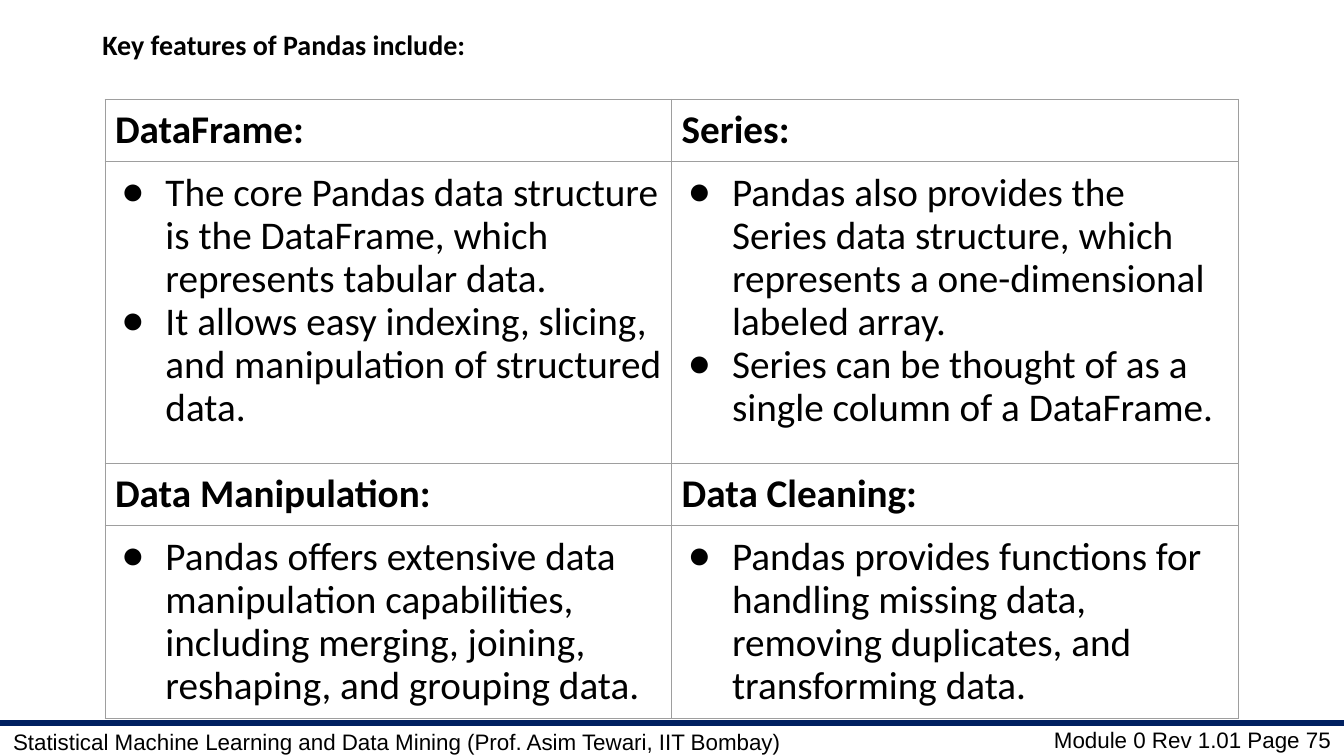
from dataclasses import dataclass

from lxml import etree
from pptx import Presentation
from pptx import util as u
from pptx.dml.color import RGBColor
from pptx.enum import shapes, text
from pptx.oxml import ns


@dataclass(frozen=True)
class Theme:
    """Colours, fonts and type sizes of the deck."""
    ink: RGBColor = RGBColor(0, 0, 0)
    navy: RGBColor = RGBColor(0x00, 0x20, 0x60)
    border: str = "9E9E9E"
    body_font: str = "Calibri"
    footer_font: str = "Arial"
    heading: int = 20
    cell: int = 28
    footer: int = 16


THEME = Theme()
FEATURES = [
    [("DataFrame:", [
        "The core Pandas data structure is the DataFrame, which represents tabular data.",
        "It allows easy indexing, slicing, and manipulation of structured data."]),
     ("Series:", [
         "Pandas also provides the Series data structure, which represents a one-dimensional labeled array.",
         "Series can be thought of as a single column of a DataFrame."])],
    [("Data Manipulation:", [
        "Pandas offers extensive data manipulation capabilities, including merging, joining, "
        "reshaping, and grouping data."]),
     ("Data Cleaning:", [
         "Pandas provides functions for handling missing data, removing duplicates, and transforming data."])],
]
ROW_HEIGHTS = [1.58, 7.59, 1.58, 4.86]


def format_para(para, size, font, bold=False):
    """Format every run of a paragraph."""
    for span in para.runs:
        span.font.size = u.Pt(size)
        span.font.name = font
        span.font.bold = bold
        span.font.color.rgb = THEME.ink


def set_margins(target, side, top):
    """Set the inner margins of a text frame or cell in centimetres."""
    target.margin_left = target.margin_right = u.Cm(side)
    target.margin_top = target.margin_bottom = u.Cm(top)


def add_bullet(para):
    """Give a paragraph a round bullet with a hanging indent."""
    props = para._p.get_or_add_pPr()
    props.set("marL", str(u.Cm(1.27)))
    props.set("indent", str(u.Cm(-1.12)))
    colour = etree.SubElement(props, ns.qn("a:buClr"))
    etree.SubElement(colour, ns.qn("a:srgbClr"), val=str(THEME.ink))
    etree.SubElement(props, ns.qn("a:buFont"), typeface=THEME.footer_font)
    etree.SubElement(props, ns.qn("a:buChar"), char="●")


def add_borders(cell):
    """Draw a thin line on all four sides of a cell."""
    props = cell._tc.get_or_add_tcPr()
    for side in ("lnL", "lnR", "lnT", "lnB"):
        line = etree.SubElement(props, ns.qn(f"a:{side}"), w=str(u.Pt(0.75)))
        fill = etree.SubElement(line, ns.qn("a:solidFill"))
        etree.SubElement(fill, ns.qn("a:srgbClr"), val=THEME.border)


def fill_cell(cell, lines, is_heading):
    """Write a heading or a bulleted list into a table cell."""
    set_margins(cell, 0.25, 0.25)
    add_borders(cell)
    cell.fill.background()
    cell.text_frame.text = "\n".join(lines)
    for index, para in enumerate(cell.text_frame.paragraphs):
        para.line_spacing = 0.9
        para.space_before = u.Pt(0 if index else 10)
        format_para(para, THEME.cell, THEME.body_font, is_heading)
        if not is_heading:
            add_bullet(para)


def add_heading(page, left, top, width, height):
    """Place the page heading in the title placeholder."""
    box = page.shapes.title
    box.left, box.top, box.width, box.height = map(u.Cm, (left, top, width, height))
    frame = box.text_frame
    frame.text = "Key features of Pandas include:"
    frame.word_wrap = True
    frame.auto_size = text.MSO_AUTO_SIZE.NONE
    frame.vertical_anchor = text.MSO_ANCHOR.TOP
    set_margins(frame, 0.25, 0.13)
    para = frame.paragraphs[0]
    para.alignment = text.PP_ALIGN.LEFT
    para.line_spacing = 0.9
    para.space_before = u.Pt(10)
    format_para(para, THEME.heading, THEME.body_font, True)


def add_features(page, left, top, width):
    """Place the feature table with alternating heading and list rows."""
    frame = page.shapes.add_table(len(ROW_HEIGHTS), 2, u.Cm(left), u.Cm(top),
                                  u.Cm(width), u.Cm(sum(ROW_HEIGHTS)))
    table = frame.table
    table.first_row = table.horz_banding = False
    for row, height in zip(table.rows, ROW_HEIGHTS):
        row.height = u.Cm(height)
    for band, features in enumerate(FEATURES):
        for column, (name, points) in enumerate(features):
            fill_cell(table.cell(2 * band, column), [name], True)
            fill_cell(table.cell(2 * band + 1, column), points, False)


def add_footer_text(page, words, left, top, width, height, align, anchor):
    """Place one line of footer text."""
    box = page.shapes.add_textbox(*map(u.Cm, (left, top, width, height)))
    frame = box.text_frame
    frame.word_wrap = True
    frame.text = words
    frame.vertical_anchor = anchor
    set_margins(frame, 0.33, 0.18)
    frame.paragraphs[0].alignment = align
    format_para(frame.paragraphs[0], THEME.footer, THEME.footer_font)


def add_footer(page, left, top, width):
    """Place the footer rule with the course name and the page label."""
    rule = page.shapes.add_connector(shapes.MSO_CONNECTOR.STRAIGHT, u.Cm(left), u.Cm(top),
                                     u.Cm(left + width), u.Cm(top))
    rule.line.color.rgb = THEME.navy
    rule.line.width = u.Pt(4.5)
    etree.SubElement(rule._element.spPr, ns.qn("a:effectLst"))
    label_width = 8
    add_footer_text(page, "Module 0 Rev 1.01 Page 75", left + width - label_width, top,
                    label_width, 0.84, text.PP_ALIGN.RIGHT, text.MSO_ANCHOR.MIDDLE)
    add_footer_text(page, "Statistical Machine Learning and Data Mining (Prof. Asim Tewari, IIT Bombay)",
                    left, top - 0.05, 21, 0.79, text.PP_ALIGN.LEFT, text.MSO_ANCHOR.TOP)


def main():
    """Build the deck and save it."""
    deck = Presentation()
    deck.slide_width, deck.slide_height = u.Cm(33.87), u.Cm(19.05)
    page = deck.slides.add_slide(deck.slide_layouts[5])
    add_footer(page, 0, 18.21, 33.87)
    add_heading(page, 2.33, 0.66, 29.21, 1.65)
    add_features(page, 2.65, 2.5, 28.56)
    deck.save("out.pptx")


if __name__ == "__main__":
    main()
